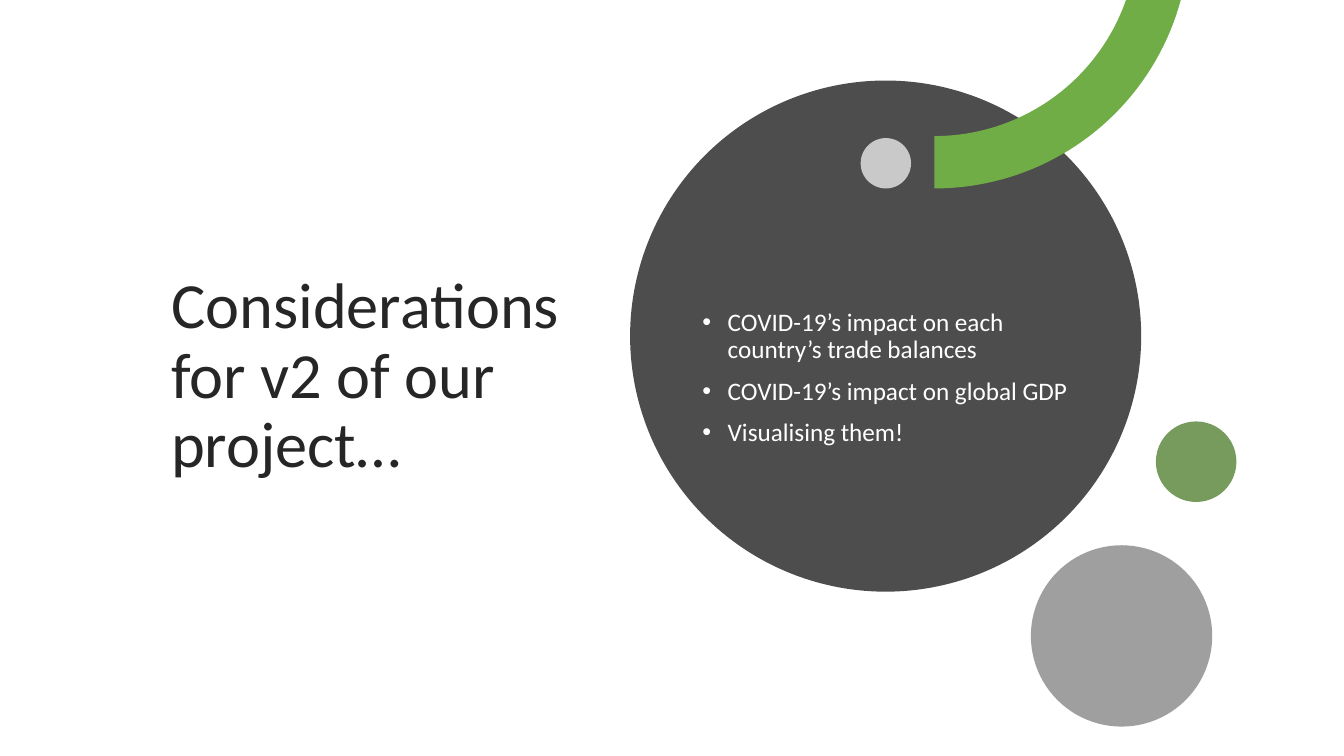
"""Build the slide of considerations for the next project version."""
from math import asin, cos, pi, sin

from lxml.etree import SubElement
from pptx import Presentation
from pptx.dml.color import RGBColor
from pptx.enum.shapes import MSO_SHAPE as SHAPE
from pptx.enum.text import MSO_ANCHOR as ANCHOR, MSO_AUTO_SIZE as AUTO, PP_ALIGN as ALIGN
from pptx.oxml.ns import qn
from pptx.util import Cm, Pt

TITLE = "Considerations for v2 of our project…"
POINTS = [
    "COVID-19’s impact on each country’s trade balances",
    "COVID-19’s impact on global GDP",
    "Visualising them!",
]

FONT = "Calibri"
WHITE = RGBColor(0xFF, 0xFF, 0xFF)
INK = RGBColor(0x26, 0x26, 0x26)
CHARCOAL = RGBColor(0x4D, 0x4D, 0x4D)
GREY = RGBColor(0x40, 0x40, 0x40)
GREEN = RGBColor(0x70, 0xAD, 0x47)
DARK_GREEN = RGBColor(0x54, 0x82, 0x35)

TITLE_BOX = (4.06, 3.02, 10.57, 12.98)
POINTS_BOX = (17.45, 4.9, 9.96, 9.27)
BIG_CIRCLE = (15.88, 2.03, 12.88, CHARCOAL, 100)
SMALL_CIRCLES = [
    (21.69, 3.48, 1.27, WHITE, 70),
    (29.13, 10.62, 2.03, DARK_GREEN, 80),
    (25.98, 13.74, 4.57, GREY, 50),
]
ARC_CENTRE = (23.55, -1.68)
ARC_RADII = (6.43, 5.11)
ARC_STEPS = 40


def paint(sp, color, opacity=100):
    """Give a shape a plain fill with the given opacity in percent."""
    sp.shadow.inherit = False
    sp.fill.solid()
    sp.fill.fore_color.rgb = color
    sp.line.fill.background()
    if opacity < 100:
        clr = sp._element.spPr.find(qn("a:solidFill"))[0]
        SubElement(clr, qn("a:alpha")).set("val", str(opacity * 1000))


def add_circle(s, left, top, size, color, opacity):
    """Add one filled circle."""
    sp = s.shapes.add_shape(SHAPE.OVAL, Cm(left), Cm(top), Cm(size), Cm(size))
    paint(sp, color, opacity)


def arc_points(radius):
    """Return points from the slide's top edge to the arc's lowest point."""
    cx, cy = ARC_CENTRE
    start = asin(-cy / radius)
    angles = [start + (pi / 2 - start) * i / ARC_STEPS for i in range(ARC_STEPS + 1)]
    return [(Cm(cx + radius * cos(a)), Cm(cy + radius * sin(a))) for a in angles]


def add_arc(s):
    """Add the green band that enters from the top edge."""
    outer, inner = [arc_points(radius) for radius in ARC_RADII]
    builder = s.shapes.build_freeform(*outer[0])
    builder.add_line_segments(outer[1:] + inner[::-1], close=True)
    paint(builder.convert_to_shape(), GREEN)


def set_frame(tf):
    """Wrap the text and centre it vertically."""
    tf.word_wrap = True
    tf.auto_size = AUTO.NONE
    tf.vertical_anchor = ANCHOR.MIDDLE


def add_text(p, text, size, color):
    """Add one run to a left-aligned paragraph."""
    p.alignment = ALIGN.LEFT
    p.line_spacing = 0.9
    r = p.add_run()
    r.text = text
    r.font.name = FONT
    r.font.size = Pt(size)
    r.font.color.rgb = color


def add_title(s):
    """Place and fill the title placeholder."""
    sp = s.shapes.title
    sp.left, sp.top, sp.width, sp.height = map(Cm, TITLE_BOX)
    set_frame(sp.text_frame)
    add_text(sp.text_frame.paragraphs[0], TITLE, 46, INK)


def add_points(s):
    """Add the bulleted list inside the big circle."""
    tf = s.shapes.add_textbox(*map(Cm, POINTS_BOX)).text_frame
    set_frame(tf)
    for i, point in enumerate(POINTS):
        p = tf.add_paragraph() if i else tf.paragraphs[0]
        add_text(p, point, 18, WHITE)
        p.space_before = Pt(10)
        pPr = p._p.get_or_add_pPr()
        pPr.set("marL", str(Cm(0.64)))
        pPr.set("indent", str(Cm(-0.64)))
        SubElement(pPr, qn("a:buFont")).set("typeface", "Arial")
        SubElement(pPr, qn("a:buChar")).set("char", "•")


def main():
    """Build and save the presentation."""
    prs = Presentation()
    prs.slide_width, prs.slide_height = Cm(33.87), Cm(19.05)
    s = prs.slides.add_slide(prs.slide_layouts[5])
    add_title(s)
    add_circle(s, *BIG_CIRCLE)
    add_arc(s)
    for circle in SMALL_CIRCLES:
        add_circle(s, *circle)
    add_points(s)
    prs.save("out.pptx")


if __name__ == "__main__":
    main()
